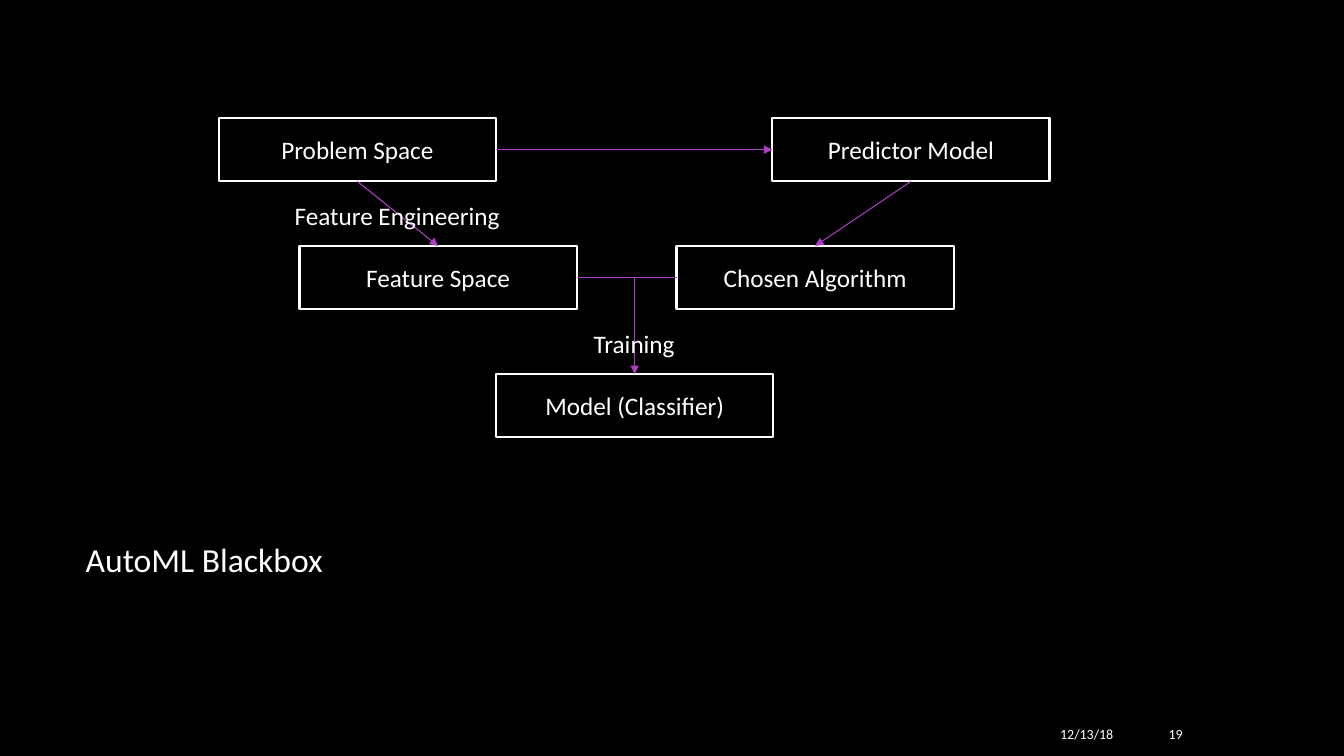
from lxml import etree
from pptx import Presentation
from pptx.dml.color import RGBColor
from pptx.enum.shapes import MSO_CONNECTOR, MSO_SHAPE
from pptx.enum.text import MSO_ANCHOR, MSO_AUTO_SIZE, PP_ALIGN
from pptx.oxml.ns import qn
from pptx.util import Inches, Pt

BLACK = RGBColor(0x00, 0x00, 0x00)
WHITE = RGBColor(0xFF, 0xFF, 0xFF)
PURPLE = RGBColor(0xAC, 0x3E, 0xC1)
LEFT, CENTER, RIGHT = PP_ALIGN.LEFT, PP_ALIGN.CENTER, PP_ALIGN.RIGHT
TOP, MIDDLE, BOTTOM = MSO_ANCHOR.TOP, MSO_ANCHOR.MIDDLE, MSO_ANCHOR.BOTTOM
STRAIGHT = MSO_CONNECTOR.STRAIGHT
TOP_SIDE, LEFT_SIDE, BOTTOM_SIDE, RIGHT_SIDE = range(4)


def write(shape, text, size, align, anchor):
    tf = shape.text_frame
    tf.word_wrap = True
    tf.auto_size = MSO_AUTO_SIZE.NONE
    tf.vertical_anchor = anchor
    p = tf.paragraphs[0]
    p.alignment = align
    r = p.add_run()
    r.text = text
    r.font.name = "Calibri"
    r.font.size = Pt(size)
    r.font.color.rgb = WHITE


def style_line(line, arrow):
    line.line.color.rgb = PURPLE
    line.line.width = Pt(0.75)
    if arrow:
        etree.SubElement(line.line._get_or_add_ln(), qn("a:tailEnd"), type="triangle")
    etree.SubElement(line._element.spPr, qn("a:effectLst"))


prs = Presentation()
prs.slide_width, prs.slide_height = Inches(13.33), Inches(7.5)
s = prs.slides.add_slide(prs.slide_layouts[5])
s.background.fill.solid()
s.background.fill.fore_color.rgb = BLACK

# Title
title = s.shapes.title
title.left, title.top = Inches(0.75), Inches(5.18)
title.width, title.height = Inches(11.08), Inches(0.62)
write(title, "AutoML Blackbox", 24, LEFT, BOTTOM)

# Date and slide number
for text, x, w in [("12/13/18", 9.39, 1.75), ("19", 11.23, 0.6)]:
    footer = s.shapes.add_textbox(Inches(x), Inches(7.08), Inches(w), Inches(0.41))
    write(footer, text, 10, RIGHT, MIDDLE)

# Boxes: three equally spaced rows
diagram = s.shapes.add_group_shape().shapes
BOX_W, BOX_H = Inches(2.75), Inches(0.63)
ROW_TOP, ROW_STEP = Inches(1.17), Inches(1.27)
boxes = {}
for text, x, row in [
    ("Problem Space", 2.17, 0),
    ("Predictor Model", 7.66, 0),
    ("Model (Classifier)", 4.92, 2),
    ("Chosen Algorithm", 6.71, 1),
    ("Feature Space", 2.97, 1),
]:
    box = diagram.add_shape(MSO_SHAPE.RECTANGLE, Inches(x),
                            ROW_TOP + row * ROW_STEP, BOX_W, BOX_H)
    box.shadow.inherit = False
    box.fill.background()
    box.line.color.rgb = WHITE
    box.line.width = Pt(1.5)
    write(box, text, 18, CENTER, MIDDLE)
    boxes[text] = box

# Connectors between boxes
for start, start_side, end, end_side, arrow in [
    ("Problem Space", BOTTOM_SIDE, "Feature Space", TOP_SIDE, True),
    ("Problem Space", RIGHT_SIDE, "Predictor Model", LEFT_SIDE, True),
    ("Predictor Model", BOTTOM_SIDE, "Chosen Algorithm", TOP_SIDE, True),
    ("Chosen Algorithm", LEFT_SIDE, "Feature Space", RIGHT_SIDE, False),
]:
    line = diagram.add_connector(STRAIGHT, boxes[start].left, boxes[start].top,
                                 boxes[end].left, boxes[end].top)
    line.begin_connect(boxes[start], start_side)
    line.end_connect(boxes[end], end_side)
    style_line(line, arrow)

# Training arrow, from the middle row down to the model
model = boxes["Model (Classifier)"]
model_x = model.left + BOX_W // 2
line = diagram.add_connector(STRAIGHT, model_x, ROW_TOP + ROW_STEP + BOX_H // 2,
                             model_x, model.top)
line.end_connect(model, TOP_SIDE)
style_line(line, True)

# Step labels
for text, x, y, w in [("Feature Engineering", 2.37, 1.94, 3.14),
                      ("Training", 4.42, 3.21, 3.74)]:
    label = diagram.add_textbox(Inches(x), Inches(y), Inches(w), Inches(0.4))
    write(label, text, 18, CENTER, TOP)
    label.text_frame.auto_size = MSO_AUTO_SIZE.SHAPE_TO_FIT_TEXT

prs.save("out.pptx")
